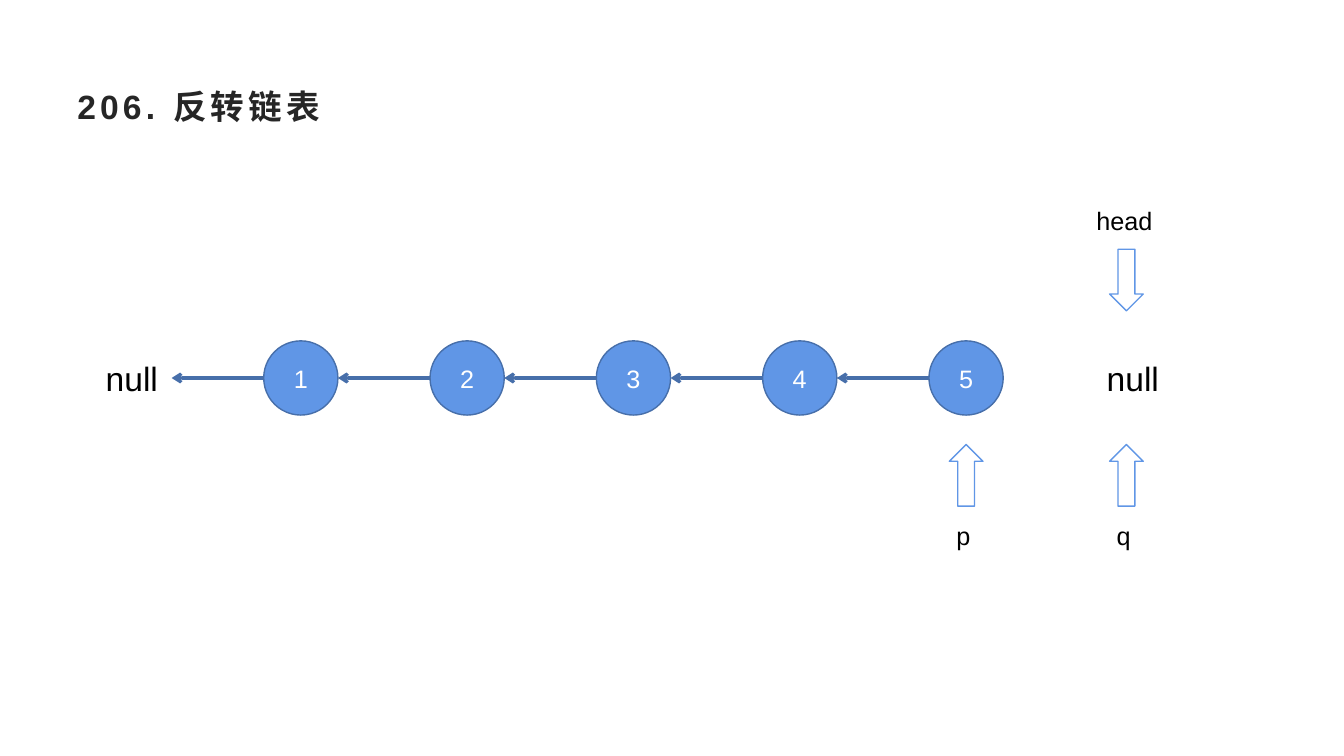
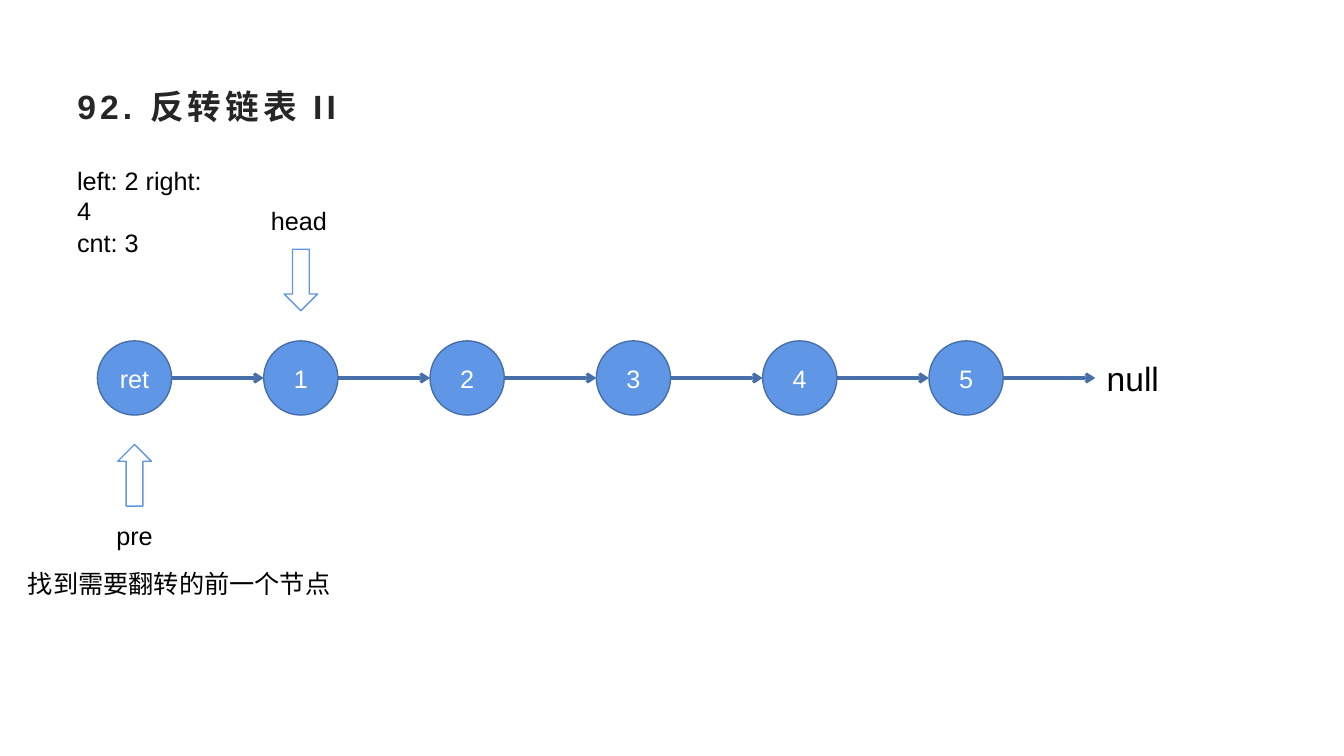
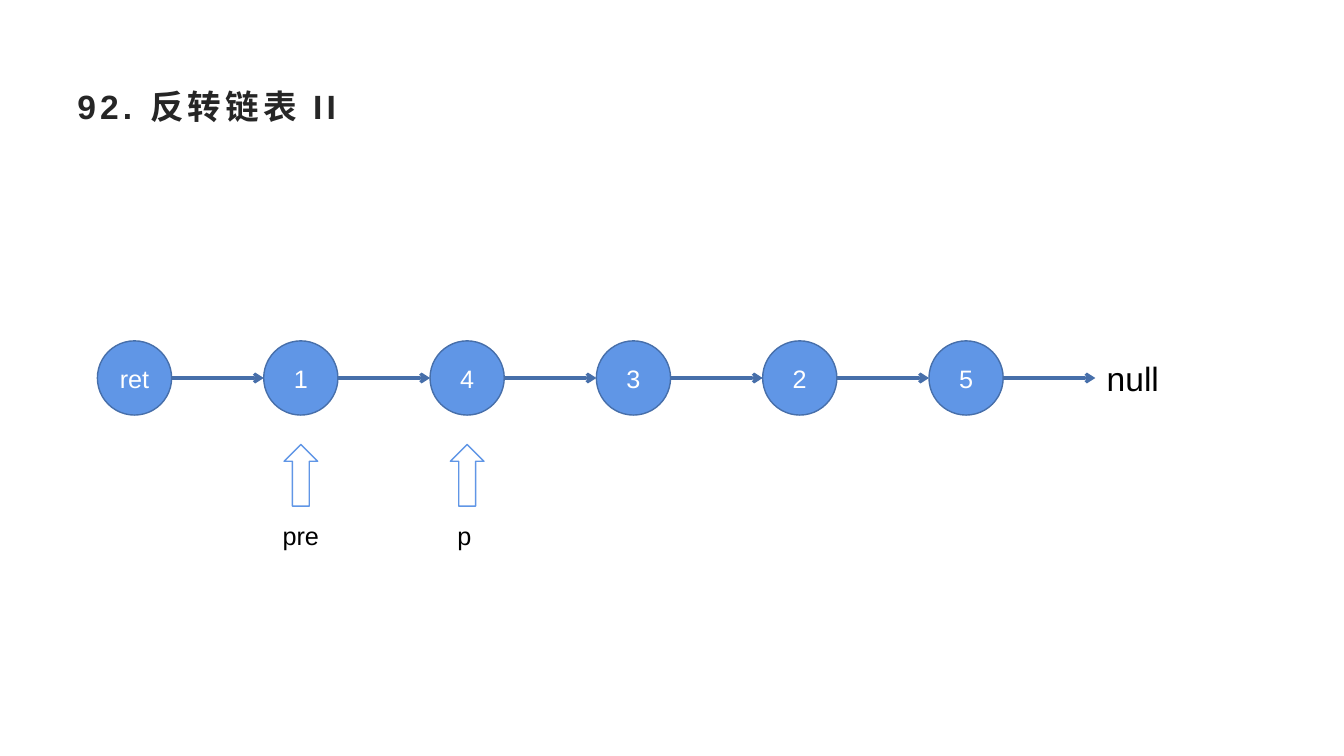
from pptx import Presentation
from pptx.dml.color import RGBColor
from pptx.enum.shapes import MSO_CONNECTOR as Connector, MSO_SHAPE as Preset
from pptx.enum.text import MSO_ANCHOR as Anchor, MSO_AUTO_SIZE as AutoSize, PP_ALIGN as Align
from pptx.oxml.ns import qn
from pptx.util import Pt
from lxml.etree import SubElement

BLUE = RGBColor(0x60, 0x96, 0xE6)
DARK_BLUE = RGBColor(0x47, 0x6F, 0xAA)
CHARCOAL = RGBColor(0x26, 0x26, 0x26)
BLACK = RGBColor(0, 0, 0)
WHITE = RGBColor(255, 255, 255)
FONT = "Arial"


def write_text(shape, text, size=18, color=BLACK, bold=False, align=Align.LEFT,
               anchor=Anchor.TOP, spacing=0, wrap=True, auto_size=AutoSize.NONE):
    frame = shape.text_frame
    frame.word_wrap = wrap
    frame.auto_size = auto_size
    frame.vertical_anchor = anchor
    paragraph = frame.paragraphs[0]
    paragraph.alignment = align
    run = paragraph.add_run()
    run.text = text
    run.font.name = FONT
    run.font.size = Pt(size)
    run.font.bold = bold
    run.font.color.rgb = color
    if spacing:
        run.font._element.set("spc", str(spacing * 100))


class ListDeck:
    first_center = 96.1
    step = 118.8
    middle = 270
    diameter = 53
    null_pointer = 804.6
    label_widths = {"p": 28, "q": 28, "pre": 41, "head": 57}

    def __init__(self):
        self.presentation = Presentation()
        self.presentation.slide_width = Pt(960)
        self.presentation.slide_height = Pt(540)
        self.slide = None

    def center(self, slot):
        return self.first_center + slot * self.step

    def start(self, title):
        layout = self.presentation.slide_layouts[5]
        self.slide = self.presentation.slides.add_slide(layout)
        shape = self.slide.shapes.title
        shape.left, shape.top, shape.width, shape.height = Pt(48), Pt(48), Pt(864), Pt(55.5)
        write_text(shape, title, size=24, color=CHARCOAL, bold=True,
                   anchor=Anchor.MIDDLE, spacing=3)

    def label(self, text, left, top, width, height=29, **style):
        box = self.slide.shapes.add_textbox(Pt(left), Pt(top), Pt(width), Pt(height))
        write_text(box, text, auto_size=AutoSize.SHAPE_TO_FIT_TEXT, **style)

    def null(self, left, width):
        self.label("null", left, 252, width, 36, size=24)

    def shape(self, preset, left, top, width, height, fill, line):
        shape = self.slide.shapes.add_shape(preset, Pt(left), Pt(top), Pt(width), Pt(height))
        shape.shadow.inherit = False
        shape.fill.solid()
        shape.fill.fore_color.rgb = fill
        shape.line.color.rgb = line
        shape.line.width = Pt(1)
        return shape

    def node(self, text, slot):
        radius = self.diameter / 2
        circle = self.shape(Preset.OVAL, self.center(slot) - radius, self.middle - radius,
                            self.diameter, self.diameter, BLUE, DARK_BLUE)
        write_text(circle, text, color=WHITE, align=Align.CENTER,
                   anchor=Anchor.MIDDLE, wrap=False)

    def link(self, slot, direction):
        start = self.center(slot) + direction * self.diameter / 2
        end = start + direction * (self.step - self.diameter)
        connector = self.slide.shapes.add_connector(
            Connector.STRAIGHT, Pt(start), Pt(self.middle), Pt(end), Pt(self.middle))
        connector.line.color.rgb = DARK_BLUE
        connector.line.width = Pt(2.25)
        SubElement(connector.line._get_or_add_ln(), qn("a:tailEnd"), type="arrow")
        SubElement(connector._element.spPr, qn("a:effectLst"))

    def chain(self, labels, first_slot=0, direction=1):
        for slot, text in enumerate(labels, first_slot):
            self.node(text, slot)
            self.link(slot, direction)

    def pointer(self, text, center, above=False):
        arrow = self.shape(Preset.UP_ARROW, center - 12, 178 if above else 317.5,
                           24, 44, WHITE, BLUE)
        arrow.rotation = 180 if above else 0
        width = self.label_widths[text]
        self.label(text, center - width / 2, 143.3 if above else 368, width,
                   align=Align.CENTER if text == "pre" else Align.LEFT)


deck = ListDeck()

deck.start("206. 反转链表")
deck.chain("12345", first_slot=1, direction=-1)
deck.null(68.4, 54)
deck.null(783.4, 87)
deck.pointer("p", deck.center(5))
deck.pointer("q", deck.null_pointer)
deck.pointer("head", deck.null_pointer, above=True)

deck.start("92. 反转链表 II")
deck.chain(["ret", *"12345"])
deck.null(783.4, 87)
deck.pointer("pre", deck.center(0))
deck.pointer("head", deck.center(1), above=True)
for text, left, top, width in [
    ("left: 2 right: 4", 48, 114.5, 118),
    ("cnt: 3", 48, 159, 58.5),
    ("找到需要翻转的前一个节点", 12.8, 402.5, 230.4),
]:
    deck.label(text, left, top, width, wrap=False)

deck.start("92. 反转链表 II")
deck.chain(["ret", *"14325"])
deck.null(783.4, 87)
deck.pointer("pre", deck.center(1))
deck.pointer("p", deck.center(2))

deck.presentation.save("out.pptx")
